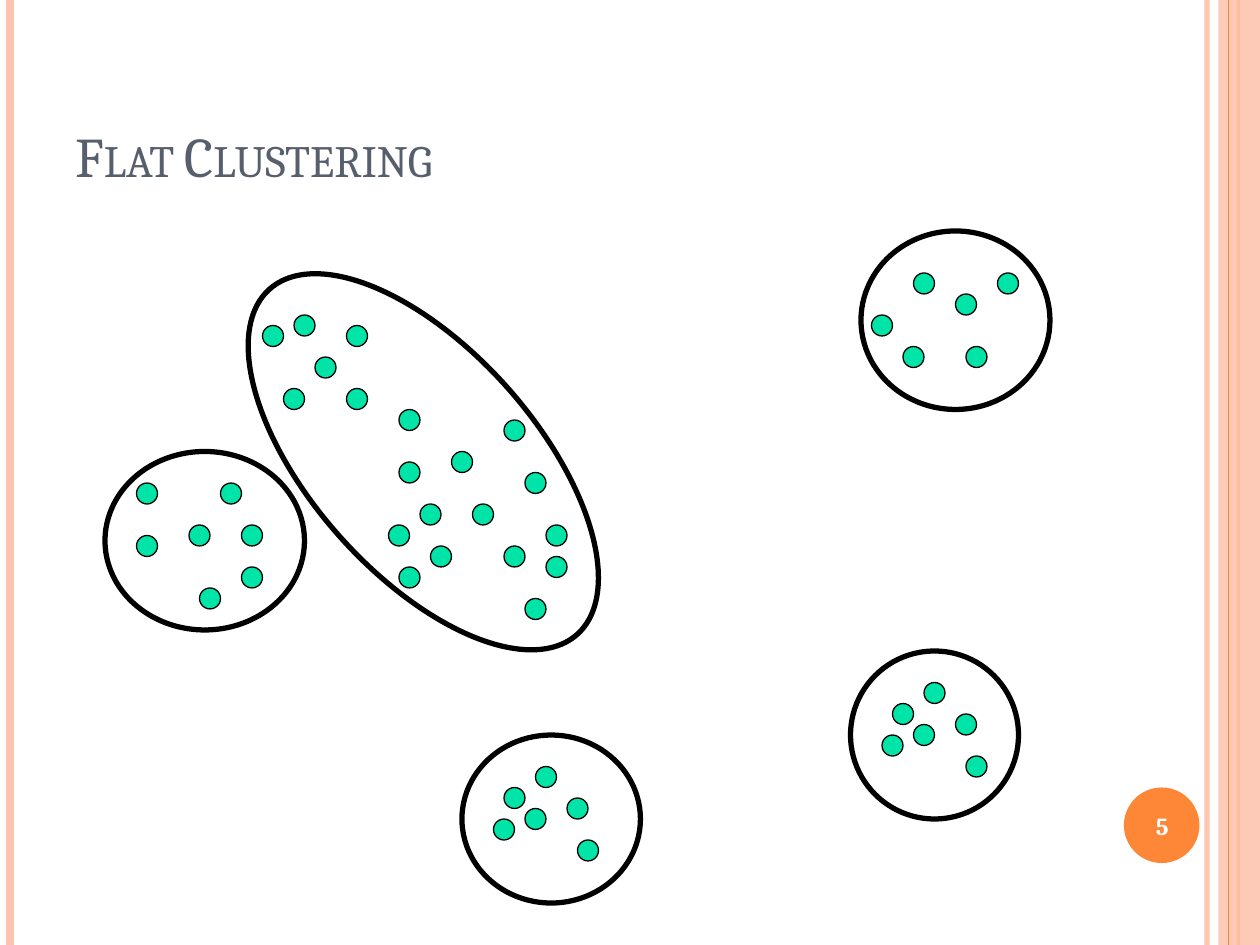
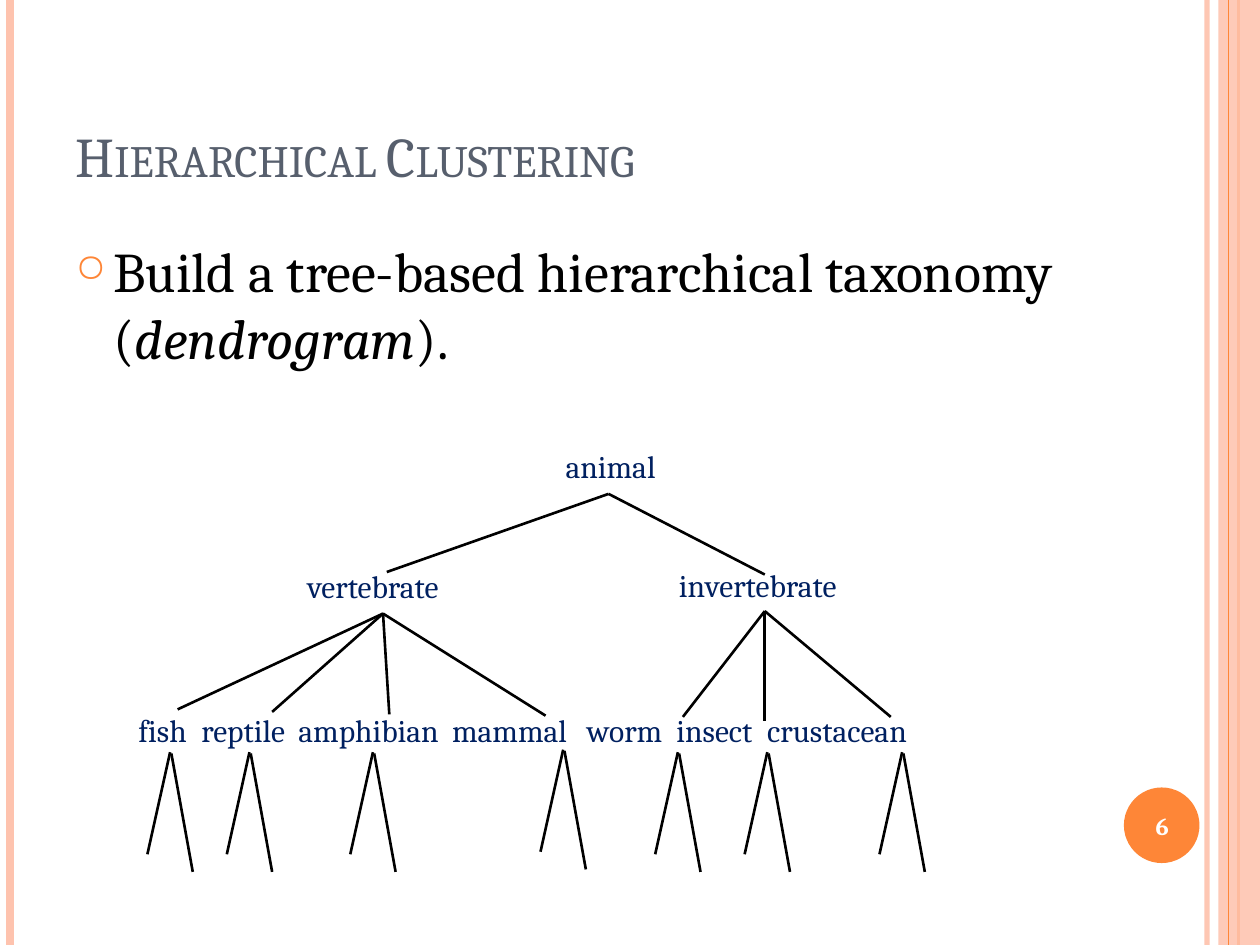
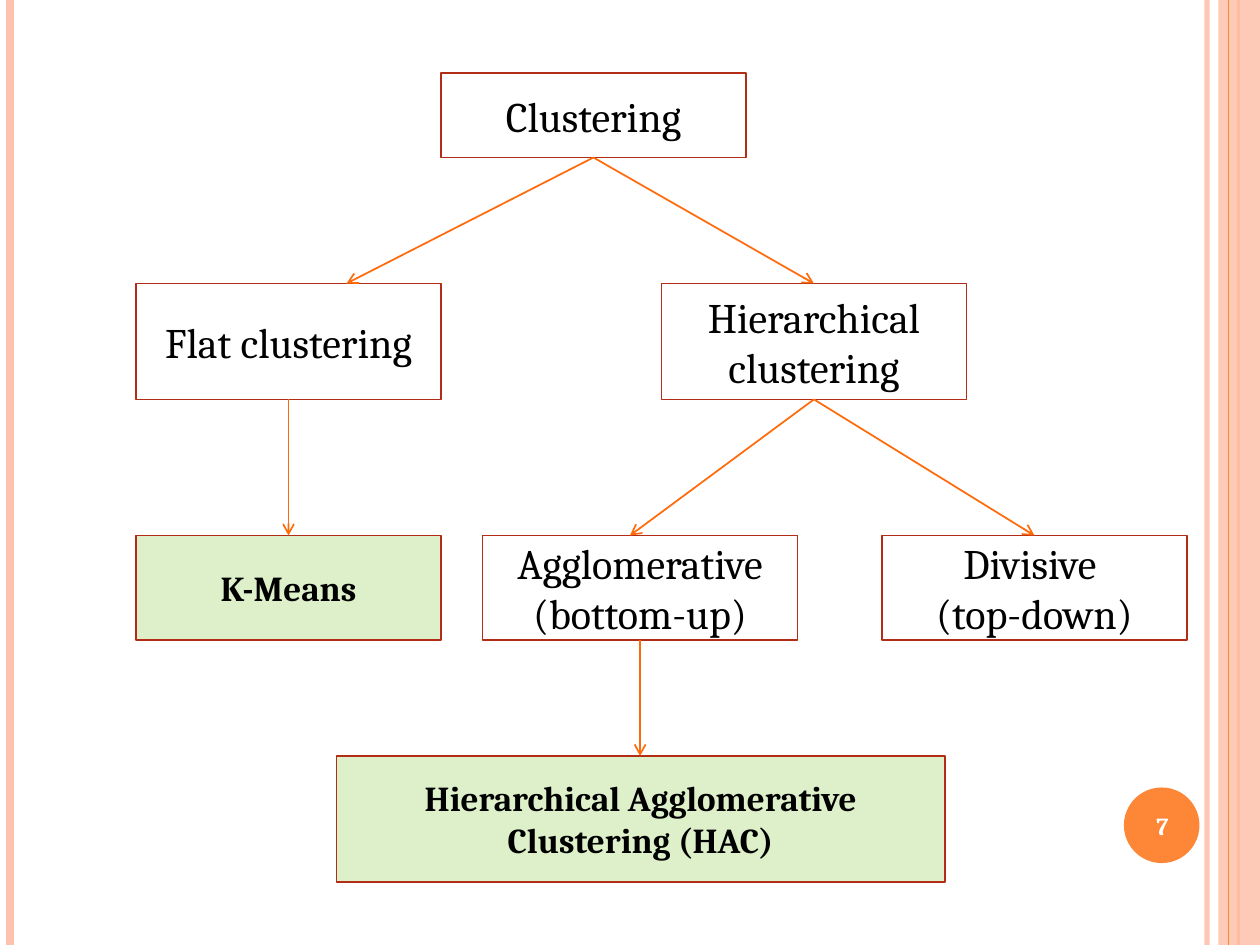
from lxml import etree
from pptx import Presentation
from pptx.dml.color import RGBColor
from pptx.enum.shapes import MSO_CONNECTOR, MSO_SHAPE
from pptx.enum.text import MSO_ANCHOR, PP_ALIGN
from pptx.oxml.ns import qn
from pptx.util import Inches, Pt

LINE = MSO_CONNECTOR.STRAIGHT
RECT, OVAL = MSO_SHAPE.RECTANGLE, MSO_SHAPE.OVAL
TOP, MIDDLE, BOTTOM = MSO_ANCHOR.TOP, MSO_ANCHOR.MIDDLE, MSO_ANCHOR.BOTTOM
LEFT, CENTER = PP_ALIGN.LEFT, PP_ALIGN.CENTER

# Shared look
FONT = "Cambria"
BLACK, WHITE = "000000", "FFFFFF"
PEACH, ORANGE, ARROW = "FEC3AE", "FE8637", "FF6B0A"
SLATE, NAVY = "575F6D", "002060"
DOT_GREEN, METHOD_GREEN, BOX_RED = "00E4A8", "92D050", "B32C16"

# Cluster slide: positions in twelfths of an inch
GRID = 1 / 12
DOT_SIZE = 2
LONG_CLUSTER = [
    (25, 31), (28, 30), (33, 31), (30, 34), (27, 37), (33, 37), (37, 50),
    (40, 48), (41, 52), (38, 54), (38, 44), (43, 43), (50, 57), (45, 48),
    (48, 52), (50, 45), (52, 53), (48, 40), (52, 50), (38, 39)]
LEFT_CLUSTER = [(13, 46), (21, 46), (18, 50), (13, 51), (19, 56), (23, 50),
                (23, 54)]
UPPER_CLUSTER = [(87, 26), (91, 28), (86, 33), (83, 30), (95, 26), (92, 33)]
LOWER_CLUSTER = [(84, 70), (85, 67), (87, 69), (92, 72), (91, 68), (88, 65)]
BOTTOM_CLUSTER = [(x - 37, y + 8) for x, y in LOWER_CLUSTER]
OUTLINES = [(81, 62, 16, 16), (82, 22, 18, 17), (44, 70, 17, 16),
            (10, 43, 19, 17)]

# Taxonomy slide
CLASSES = ["fish", "reptile", "amphibian", "mammal", "worm", "insect",
           "crustacean"]
CLASS_TABS = [0.5, 1.27, 2.49, 3.56, 4.27, 4.99]
BRANCHES = [
    ((4.83, 3.92), [(3.07, 4.54), (6.07, 4.56)]),
    ((3.04, 4.87), [(1.41, 5.63), (2.16, 5.65), (3.09, 5.67), (4.33, 5.68)]),
    ((6.07, 4.85), [(5.42, 5.69), (6.07, 5.72), (7.07, 5.69)])]
FORKS = [(1.35, 5.97), (1.98, 5.97), (2.96, 5.97), (4.47, 5.95),
         (5.38, 5.97), (6.09, 5.97), (7.16, 5.97)]


def color(value):
    return RGBColor.from_string(value)


def set_opacity(fill_parent, percent):
    clr = next(fill_parent.iter(qn("a:srgbClr")))
    etree.SubElement(clr, qn("a:alpha"), val=str(percent * 1000))


def add_line(slide, start, end, line_color=BLACK, width=1.5, opacity=None,
             arrow=False):
    x1, y1, x2, y2 = (Inches(v) for v in (*start, *end))
    cn = slide.shapes.add_connector(LINE, x1, y1, x2, y2)
    cn.line.color.rgb = color(line_color)
    cn.line.width = Pt(width)
    sp_pr = cn._element.spPr
    if opacity:
        set_opacity(sp_pr, opacity)
    if arrow:
        etree.SubElement(sp_pr.find(qn("a:ln")), qn("a:tailEnd"), type="arrow")
    etree.SubElement(sp_pr, qn("a:effectLst"))


def add_shape(slide, kind, at, fill=None, line=None, width=1, opacity=None):
    sp = slide.shapes.add_shape(kind, *(Inches(v) for v in at))
    sp.shadow.inherit = False
    if fill:
        sp.fill.solid()
        sp.fill.fore_color.rgb = color(fill)
    else:
        sp.fill.background()
    if opacity:
        set_opacity(sp._element.spPr, opacity)
    if line:
        sp.line.color.rgb = color(line)
        sp.line.width = Pt(width)
    else:
        sp.line.fill.background()
    return sp


def format_run(r, size, text_color, bold=False):
    r.font.name = FONT
    r.font.size = Pt(size)
    r.font.bold = bold
    r.font.color.rgb = color(text_color)


def write(sp, text, size, text_color, bold=False, align=LEFT, anchor=TOP):
    tf = sp.text_frame
    tf.word_wrap = True
    tf.vertical_anchor = anchor
    tf.text = text
    p = tf.paragraphs[0]
    p.alignment = align
    for r in p.runs:
        format_run(r, size, text_color, bold)
    return p


def add_text(slide, at, text, size, text_color, **style):
    box = slide.shapes.add_textbox(*(Inches(v) for v in at))
    return write(box, text, size, text_color, **style)


def add_title(slide, text):
    p = add_text(slide, (0.5, 0.3, 8.17, 1.25), text, 32, SLATE, anchor=BOTTOM)
    p.runs[0].font._element.set("cap", "small")


def add_bullet(slide, at, parts):
    """Add one bulleted paragraph from (text, italic) parts."""
    p = add_text(slide, at, "", 32, BLACK)
    p.space_before = Pt(6)
    for text, italic in parts:
        r = p.add_run()
        r.text = text
        format_run(r, 32, BLACK)
        r.font.italic = italic
    p_pr = p._p.get_or_add_pPr()
    p_pr.set("marL", str(Inches(0.3)))
    p_pr.set("indent", str(-Inches(0.3)))
    bullet_color = etree.SubElement(p_pr, qn("a:buClr"))
    etree.SubElement(bullet_color, qn("a:srgbClr"), val=ORANGE)
    etree.SubElement(p_pr, qn("a:buSzPct"), val="70000")
    etree.SubElement(p_pr, qn("a:buChar"), char="○")


def add_tabs(p, stops):
    tabs = etree.SubElement(p._p.get_or_add_pPr(), qn("a:tabLst"))
    for stop in stops:
        etree.SubElement(tabs, qn("a:tab"), pos=str(Inches(stop)), algn="l")


def add_box(slide, at, text):
    sp = add_shape(slide, RECT, at, WHITE, BOX_RED)
    write(sp, text, 24, BLACK, align=CENTER, anchor=MIDDLE)


def add_method(slide, at, text):
    sp = add_shape(slide, RECT, at, METHOD_GREEN, BOX_RED, opacity=30)
    write(sp, text, 20, BLACK, bold=True, align=CENTER, anchor=MIDDLE)


def new_slide(prs, number):
    """Add a slide with the side bands and the number badge."""
    slide = prs.slides.add_slide(prs.slide_layouts[6])
    add_line(slide, (9.58, 0), (9.58, 7.5), PEACH, 3, opacity=93)
    add_line(slide, (0.08, 0), (0.08, 7.5), PEACH, 4.5)
    add_line(slide, (9.83, 0), (9.83, 7.5), ORANGE, 1.5)
    add_shape(slide, RECT, (9.67, 0, 0.33, 7.5), PEACH, opacity=87)
    add_line(slide, (9.75, 0), (9.75, 7.5), ORANGE, 0.75)
    add_shape(slide, OVAL, (8.92, 6.25, 0.6, 0.6), ORANGE)
    add_text(slide, (8.89, 6.27, 0.67, 0.57), str(number), 14, WHITE,
             bold=True, align=CENTER, anchor=MIDDLE)
    return slide


def flat_slide(prs):
    slide = new_slide(prs, 5)
    add_title(slide, "Flat Clustering")
    for cluster in (LONG_CLUSTER, LEFT_CLUSTER, UPPER_CLUSTER, LOWER_CLUSTER,
                    BOTTOM_CLUSTER):
        for x, y in cluster:
            at = [v * GRID for v in (x, y, DOT_SIZE, DOT_SIZE)]
            add_shape(slide, OVAL, at, DOT_GREEN, BLACK, 0.75)
    for outline in OUTLINES:
        add_shape(slide, OVAL, [v * GRID for v in outline], None, BLACK, 3)
    tilted = add_shape(slide, OVAL, (2.47, 1.83, 1.78, 3.67), None, BLACK, 3)
    tilted.rotation = 318.3


def hierarchy_slide(prs):
    slide = new_slide(prs, 6)
    add_title(slide, "Hierarchical Clustering")
    add_bullet(slide, (0.5, 1.83, 8.33, 1.5), [
        ("Build a tree-based hierarchical taxonomy (", False),
        ("dendrogram", True), (").", False)])
    # Tree labels
    add_text(slide, (4.39, 3.5, 1.61, 0.46), "animal", 18, NAVY)
    add_text(slide, (2.34, 4.45, 1.41, 0.46), "vertebrate", 18, NAVY)
    add_text(slide, (5.29, 4.44, 1.65, 0.46), "invertebrate", 18, NAVY)
    p = add_text(slide, (1, 5.59, 7.36, 0.46), "\t".join(CLASSES), 18, NAVY)
    add_tabs(p, CLASS_TABS)
    # Branches and the forks below each class
    for parent, children in BRANCHES:
        for child in children:
            add_line(slide, parent, child)
    for x, y in FORKS:
        add_line(slide, (x, y), (x - 0.18, y + 0.81))
        add_line(slide, (x + 0.01, y + 0.01), (x + 0.18, y + 0.95))


def overview_slide(prs):
    slide = new_slide(prs, 7)
    add_box(slide, (3.5, 0.58, 2.42, 0.67), "Clustering")
    add_box(slide, (1.08, 2.25, 2.42, 0.92), "Flat clustering")
    add_box(slide, (5.25, 2.25, 2.42, 0.92), "Hierarchical clustering")
    add_method(slide, (1.08, 4.25, 2.42, 0.83), "K-Means")
    add_box(slide, (3.83, 4.25, 2.5, 0.83), "Agglomerative (bottom-up)")
    add_box(slide, (7, 4.25, 2.42, 0.83), "Divisive \v(top-down)")
    add_method(slide, (2.67, 6, 4.83, 1),
               "Hierarchical Agglomerative Clustering (HAC)")
    for start, end in [((4.71, 1.25), (2.75, 2.25)),
                       ((4.71, 1.25), (6.46, 2.25)),
                       ((2.29, 3.17), (2.29, 4.25)),
                       ((6.46, 3.17), (5, 4.25)),
                       ((6.46, 3.17), (8.21, 4.25)),
                       ((5.08, 5.08), (5.08, 6))]:
        add_line(slide, start, end, ARROW, 1, arrow=True)


def main():
    prs = Presentation()
    prs.slide_width, prs.slide_height = Inches(10), Inches(7.5)
    flat_slide(prs)
    hierarchy_slide(prs)
    overview_slide(prs)
    prs.save("out.pptx")


if __name__ == "__main__":
    main()
